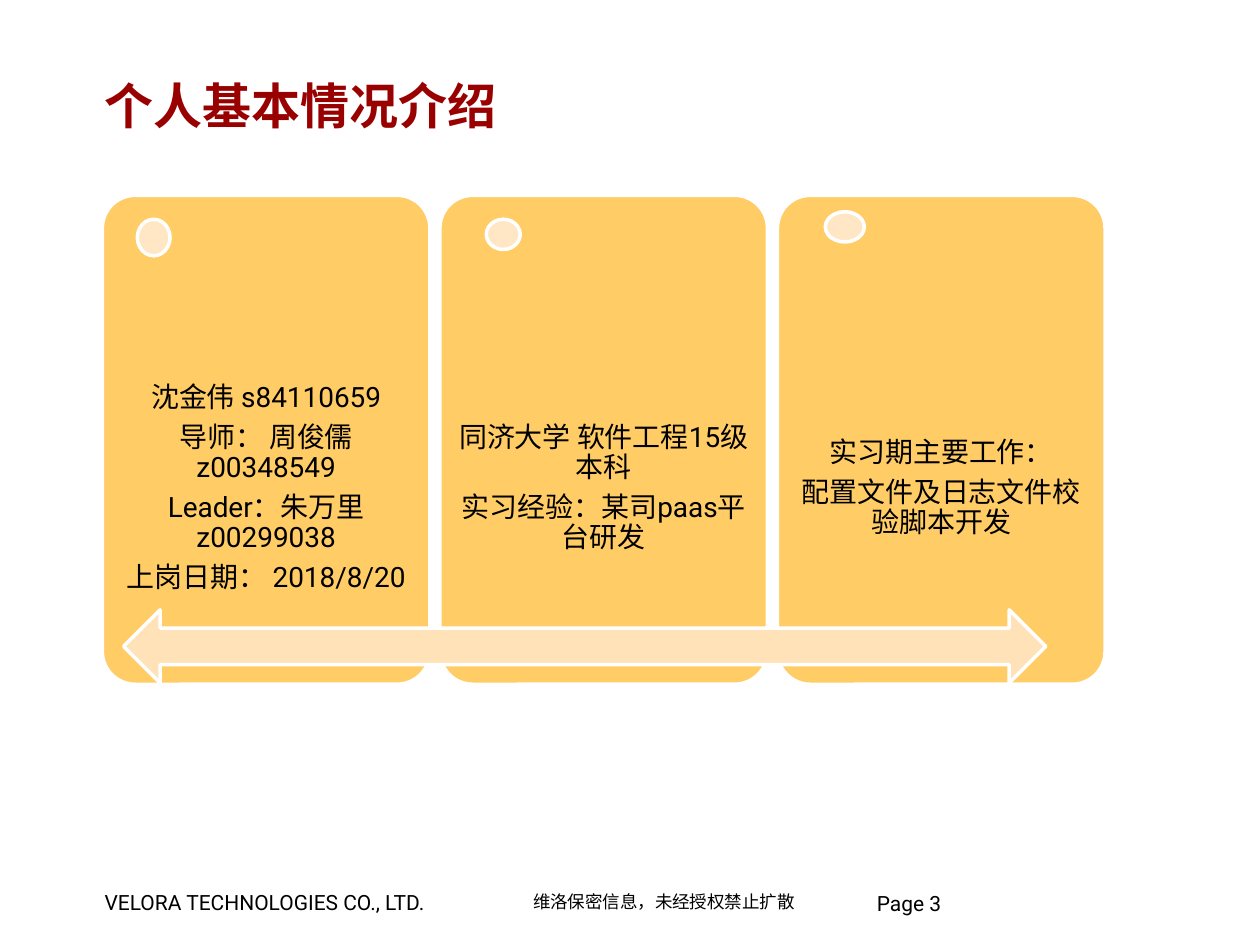
from pptx import Presentation
from pptx.dml.color import RGBColor
from pptx.enum.shapes import MSO_SHAPE
from pptx.enum.text import MSO_ANCHOR, PP_ALIGN
from pptx.util import Pt

COLORS = {
    "title": "990000",
    "text": "000000",
    "card": "FFCC66",
    "dot": "FFE7C6",
    "arrow": "FFE2B8",
    "outline": "FFFFFF",
}


def add_shape(kind, left, top, width, height, fill):
    s = slide.shapes.add_shape(kind, Pt(left), Pt(top), Pt(width), Pt(height))
    s.shadow.inherit = False
    s.fill.solid()
    s.fill.fore_color.rgb = RGBColor.from_string(COLORS[fill])
    s.line.color.rgb = RGBColor.from_string(COLORS["outline"])
    s.line.width = Pt(2)
    return s


def add_text(box, lines, size, font="Roboto", color="text", insets=(0, 0, 0, 0), wrap=True):
    tf = slide.shapes.add_textbox(*[Pt(v) for v in box]).text_frame
    tf.word_wrap = wrap
    tf.margin_left, tf.margin_top, tf.margin_right, tf.margin_bottom = [Pt(v) for v in insets]
    tf.text = "\n".join(lines)
    for p in tf.paragraphs:
        p.font.size = Pt(size)
        p.font.name = font
        p.font.color.rgb = RGBColor.from_string(COLORS[color])
    return tf


prs = Presentation()
prs.slide_width, prs.slide_height = Pt(720), Pt(540)
slide = prs.slides.add_slide(prs.slide_layouts[6])

# Footer
add_text((59.8, 508.3, 200, 14.4), ["VELORA TECHNOLOGIES CO., LTD."], 12,
         insets=(0, 0, 6.5, 0), wrap=False)
tf = add_text((501.1, 511.2, 165.6, 28.8), ["Page 3"], 12)
tf.paragraphs[0].line_spacing = 0.85
add_text((298.1, 509, 164.2, 12.2), ["维洛保密信息，未经授权禁止扩散"], 10,
         font="Noto Sans CJK SC", insets=(6.5, 0, 6.5, 0), wrap=False)

# Title
tf = add_text((59.8, 25.9, 601.2, 68.4), ["个人基本情况介绍"], 28, font="Arial",
              color="title", insets=(0, 3, 6.5, 3))
tf.vertical_anchor = MSO_ANCHOR.MIDDLE
tf.paragraphs[0].font.bold = True

# Cards: lines of text and the box of the dot
cards = [
    (["沈金伟 s84110659", "导师： 周俊儒 z00348549",
      "Leader：朱万里 z00299038", "上岗日期： 2018/8/20"],
     (78.5, 125.3, 18.7, 20.9)),
    (["同济大学 软件工程15级本科", "实习经验：某司paas平台研发"],
     (277.9, 125.3, 19.4, 17.3)),
    (["实习期主要工作：", "配置文件及日志文件校验脚本开发"],
     (471.6, 121, 22.3, 17.3)),
]
card_left, card_pitch, card_width = 58.5, 192.9, 187.2
for i, (lines, dot) in enumerate(cards):
    left = card_left + i * card_pitch
    card = add_shape(MSO_SHAPE.ROUNDED_RECTANGLE, left, 111.6, card_width, 279.4, "card")
    card.adjustments[0] = 0.1
    tf = add_text((left, 223.2, card_width, 111.6), lines, 16, insets=(8.6,) * 4)
    tf.vertical_anchor = MSO_ANCHOR.MIDDLE
    for p in tf.paragraphs:
        p.alignment = PP_ALIGN.CENTER
        p.line_spacing = 0.9
        p.space_after = Pt(5.6)
    add_shape(MSO_SHAPE.OVAL, *dot, "dot")

# Double arrow across the cards
add_shape(MSO_SHAPE.LEFT_RIGHT_ARROW, 70.6, 348.5, 527, 41.8, "arrow")

prs.save("out.pptx")
